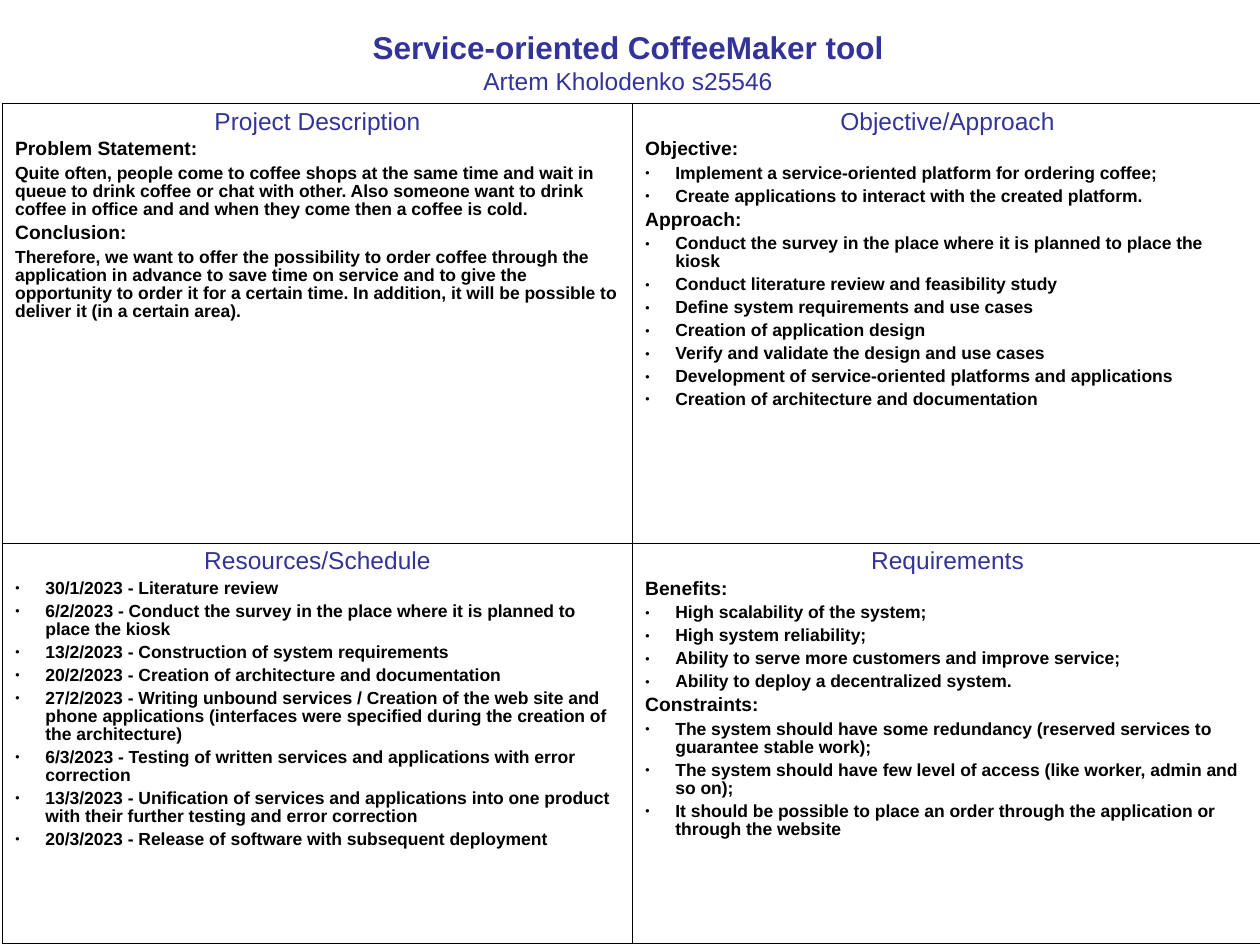
from lxml.etree import SubElement
from pptx import Presentation
from pptx.dml.color import RGBColor
from pptx.enum.text import MSO_ANCHOR, MSO_AUTO_SIZE, PP_ALIGN
from pptx.oxml import parse_xml
from pptx.oxml.ns import nsdecls, qn
from pptx.util import Inches, Pt

NAVY = RGBColor(0x33, 0x33, 0x99)
BLACK = RGBColor(0, 0, 0)
FONT = "Arial"
OUTER, INNER = Pt(0.5), Pt(0.23)
INDENT = Inches(0.24)

HEADING, TEXT, BULLET = "heading", "text", "bullet"
SIZES = {HEADING: 11, TEXT: 10, BULLET: 10}

DESCRIPTION = [
    (HEADING, "Problem Statement:"),
    (TEXT, "Quite often, people come to coffee shops at the same time and wait in queue to drink "
           "coffee or chat with other. Also someone want to drink coffee in office and and when "
           "they come then a coffee is cold."),
    (HEADING, "Conclusion:"),
    (TEXT, "Therefore, we want to offer the possibility to order coffee through the application "
           "in advance to save time on service and to give the opportunity to order it for a "
           "certain time. In addition, it will be possible to deliver it (in a certain area)."),
]
APPROACH = [
    (HEADING, "Objective:"),
    (BULLET, "Implement a service-oriented platform for ordering coffee;"),
    (BULLET, "Create applications to interact with the created platform."),
    (HEADING, "Approach:"),
    (BULLET, "Conduct the survey in the place where it is planned to place the kiosk"),
    (BULLET, "Conduct literature review and feasibility study"),
    (BULLET, "Define system requirements and use cases"),
    (BULLET, "Creation of application design"),
    (BULLET, "Verify and validate the design and use cases"),
    (BULLET, "Development of service-oriented platforms and applications"),
    (BULLET, "Creation of architecture and documentation"),
]
SCHEDULE = [
    (BULLET, "30/1/2023 - Literature review"),
    (BULLET, "6/2/2023 - Conduct the survey in the place where it is planned to place the kiosk"),
    (BULLET, "13/2/2023 - Construction of system requirements"),
    (BULLET, "20/2/2023 - Creation of architecture and documentation"),
    (BULLET, "27/2/2023 - Writing unbound services / Creation of the web site and phone "
             "applications (interfaces were specified during the creation of the architecture)"),
    (BULLET, "6/3/2023 - Testing of written services and applications with error correction"),
    (BULLET, "13/3/2023 - Unification of services and applications into one product with their "
             "further testing and error correction"),
    (BULLET, "20/3/2023 - Release of software with subsequent deployment"),
]
REQUIREMENTS = [
    (HEADING, "Benefits:"),
    (BULLET, "High scalability of the system;"),
    (BULLET, "High system reliability;"),
    (BULLET, "Ability to serve more customers and improve service;"),
    (BULLET, "Ability to deploy a decentralized system."),
    (HEADING, "Constraints:"),
    (BULLET, "The system should have some redundancy (reserved services to guarantee stable work);"),
    (BULLET, "The system should have few level of access (like worker, admin and so on);"),
    (BULLET, "It should be possible to place an order through the application or through the website"),
]
QUADRANTS = [
    [("Project Description", DESCRIPTION), ("Objective/Approach", APPROACH)],
    [("Resources/Schedule", SCHEDULE), ("Requirements", REQUIREMENTS)],
]


def write(p, text, size, color, bold=False, align=PP_ALIGN.LEFT):
    """Set the text of a paragraph and format its run."""
    p.text = text
    p.alignment = align
    font = p.runs[0].font
    font.name, font.size, font.bold = FONT, Pt(size), bold
    font.color.rgb = color


def add_bullet(p):
    """Give a paragraph a small black bullet and a hanging indent."""
    pPr = p._p.get_or_add_pPr()
    pPr.set("marL", str(INDENT))
    pPr.set("indent", str(-INDENT))
    SubElement(SubElement(pPr, qn("a:buClr")), qn("a:srgbClr"), val=str(BLACK))
    SubElement(pPr, qn("a:buSzPct"), val="45000")
    SubElement(pPr, qn("a:buFont"), typeface=FONT)
    SubElement(pPr, qn("a:buChar"), char="●")


def set_borders(cell, widths):
    """Draw the left, right, top and bottom borders of a cell in the given widths."""
    tcPr = cell._tc.get_or_add_tcPr()
    for i, (side, width) in enumerate(zip("LRTB", widths)):
        tcPr.insert(i, parse_xml(
            f'<a:ln{side} {nsdecls("a")} w="{width}"><a:solidFill>'
            f'<a:srgbClr val="{BLACK}"/></a:solidFill></a:ln{side}>'))


def fill_quadrant(cell, title, items):
    """Write a centred title and the items below it into a cell."""
    cell.fill.background()
    tf = cell.text_frame
    write(tf.paragraphs[0], title, 14, NAVY, align=PP_ALIGN.CENTER)
    for kind, text in items:
        p = tf.add_paragraph()
        if kind == BULLET:
            add_bullet(p)
        write(p, text, SIZES[kind], BLACK, bold=True)
        p.space_before = Pt(2.6)
    for p in tf.paragraphs:
        p.line_spacing = 0.93
        p.space_after = Pt(0.1)


def add_title(s, left, top, width, height):
    """Place the title and the author line in the title placeholder."""
    sp = s.shapes.title
    sp.left, sp.top, sp.width, sp.height = left, top, width, height
    tf = sp.text_frame
    tf.word_wrap = True
    tf.auto_size = MSO_AUTO_SIZE.NONE
    tf.vertical_anchor = MSO_ANCHOR.TOP
    write(tf.paragraphs[0], "Service-oriented CoffeeMaker tool", 18, NAVY, True, PP_ALIGN.CENTER)
    write(tf.add_paragraph(), "Artem Kholodenko s25546", 14, NAVY, align=PP_ALIGN.CENTER)


def add_quad_table(s, left, top, width, row_heights):
    """Place the table of four quadrants with thicker outer borders."""
    rows, cols = len(QUADRANTS), len(QUADRANTS[0])
    table = s.shapes.add_table(rows, cols, left, top, width, sum(row_heights)).table
    table.first_row = table.horz_banding = False
    for row, height in zip(table.rows, row_heights):
        row.height = height
    for r, quadrants in enumerate(QUADRANTS):
        for c, (title, items) in enumerate(quadrants):
            cell = table.cell(r, c)
            fill_quadrant(cell, title, items)
            on_edge = (c == 0, c == cols - 1, r == 0, r == rows - 1)
            set_borders(cell, [OUTER if edge else INNER for edge in on_edge])


def main():
    """Build the slide and save it."""
    prs = Presentation()
    prs.slide_width, prs.slide_height = Inches(10), Inches(7.5)
    s = prs.slides.add_slide(prs.slide_layouts[5])
    add_title(s, Inches(0.82), Inches(0.17), Inches(8.33), Inches(0.64))
    add_quad_table(s, Inches(0.02), Inches(0.82), prs.slide_width, [Inches(3.49), Inches(3.18)])
    prs.save("out.pptx")


if __name__ == "__main__":
    main()
